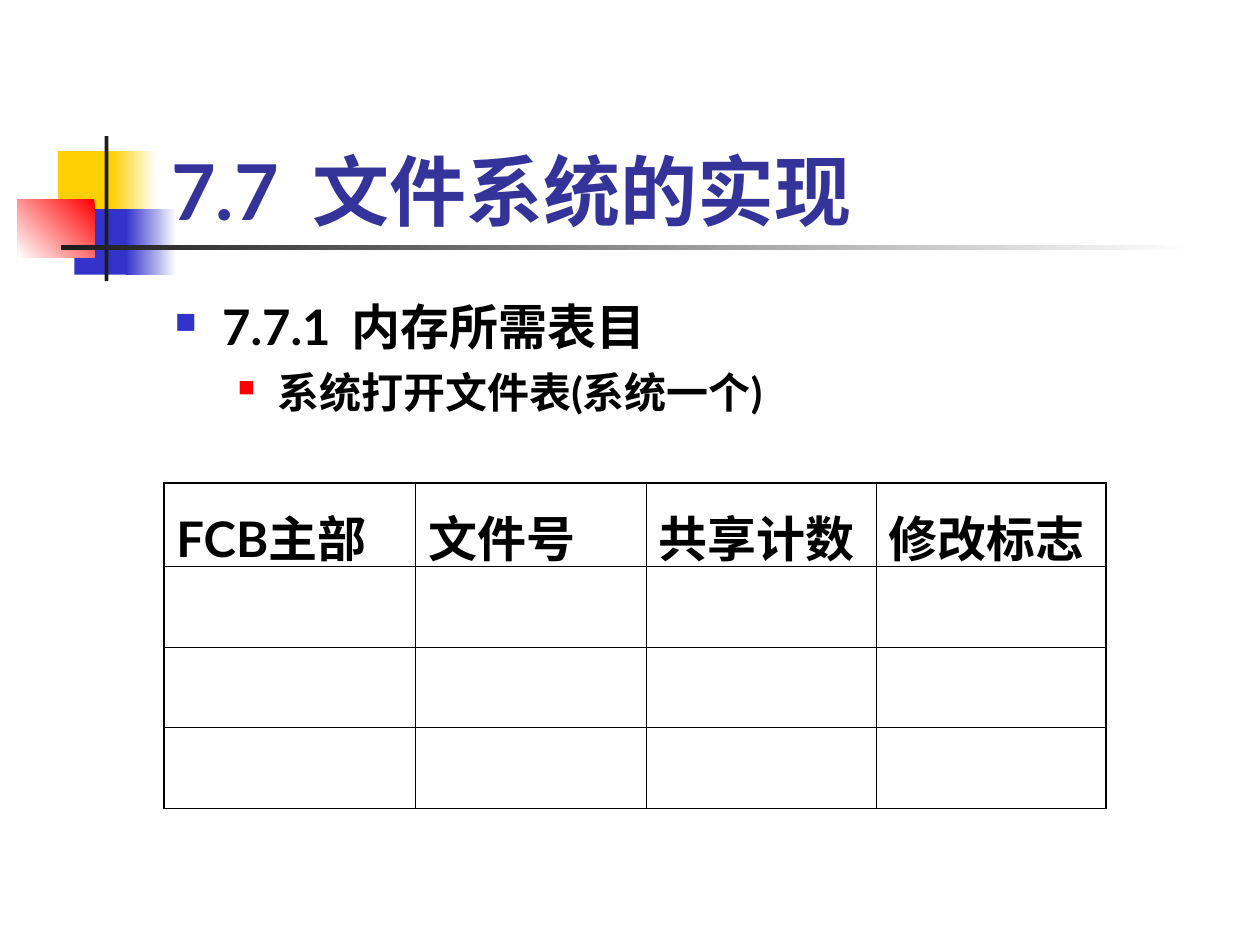
"""Build the slide on the tables a file system keeps in memory."""
from lxml import etree
from pptx import Presentation
from pptx import util as u
from pptx.dml.color import RGBColor
from pptx.enum import shapes, text
from pptx.oxml import ns

FONT = "Lato"
WHITE = RGBColor(0xFF, 0xFF, 0xFF)
BLACK = RGBColor(0x00, 0x00, 0x00)
YELLOW = RGBColor(0xFF, 0xCF, 0x01)
BLUE = RGBColor(0x33, 0x33, 0xCC)
RED = RGBColor(0xFF, 0x00, 0x00)
CHARCOAL = RGBColor(0x1C, 0x1C, 0x1C)
INDIGO = RGBColor(0x33, 0x33, 0x99)

HEADINGS = ["FCB主部", "文件号", "共享计数", "修改标志"]
COLUMN_WIDTHS = [144, 131.5, 131.5, 131.5]
ROW_HEIGHT = 46.1
ROW_COUNT = 4
THIN, THICK = 0.45, 1.08

DECORATIONS = [
    ((33.1, 86.4, 34.6, 37.4), [YELLOW], 0),
    ((63.4, 86.4, 25.9, 37.4), [WHITE, YELLOW], 180),
    ((42.5, 119.5, 33.1, 37.4), [BLUE], 0),
    ((72, 119.5, 28.8, 37.4), [WHITE, BLUE], 180),
    ((10.1, 113.8, 43.9, 33.1), [RED, WHITE], 225),
    ((59.8, 77.8, 2.2, 82.8), [CHARCOAL], 0),
    ((34.6, 140.2, 648, 2.5), [WHITE, CHARCOAL], 180),
]


def points(values):
    """Turn plain numbers into lengths in points."""
    return [u.Pt(value) for value in values]


def add_block(page, place, colours, angle):
    """Add a borderless rectangle, plain or with a two-colour gradient."""
    block = page.shapes.add_shape(shapes.MSO_SHAPE.RECTANGLE, *points(place))
    block.shadow.inherit = False
    block.line.fill.background()
    if len(colours) == 1:
        block.fill.solid()
        block.fill.fore_color.rgb = colours[0]
        return
    block.fill.gradient()
    block.fill.gradient_angle = angle
    for position, (stop, colour) in enumerate(zip(block.fill.gradient_stops, colours)):
        stop.position = position
        stop.color.rgb = colour


def add_span(para, words, size, colour, spacing=0):
    """Add one bold run, with optional letter spacing in points."""
    span = para.add_run()
    span.text = words
    span.font.name = FONT
    span.font.size = u.Pt(size)
    span.font.bold = True
    span.font.color.rgb = colour
    if spacing:
        span.font._element.set("spc", str(round(spacing * 100)))


def add_numbered(para, number, words, size, colour):
    """Add a section number, a widened space and the section name."""
    add_span(para, number, size, colour)
    add_span(para, " ", size, colour, size * 0.19)
    add_span(para, words, size, colour)


def add_bullet(para, colour, percent, left, hanging):
    """Give a paragraph a square bullet and a hanging indent."""
    properties = para._p.get_or_add_pPr()
    properties.set("marL", str(u.Pt(left)))
    properties.set("indent", str(-u.Pt(hanging)))
    tint = etree.SubElement(properties, ns.qn("a:buClr"))
    etree.SubElement(tint, ns.qn("a:srgbClr"), val=str(colour))
    etree.SubElement(properties, ns.qn("a:buSzPct"), val=str(percent * 1000))
    etree.SubElement(properties, ns.qn("a:buChar"), char="■")


def add_title(page):
    """Place and fill the title, in front of the decorations."""
    title = page.shapes.title
    title.left, title.top, title.width, title.height = points((90.7, 48.2, 613.4, 90))
    title.text_frame.vertical_anchor = text.MSO_ANCHOR.BOTTOM
    para = title.text_frame.paragraphs[0]
    para.alignment = text.PP_ALIGN.LEFT
    add_numbered(para, "7.7", "文件系统的实现", 44, INDIGO)
    page.shapes._spTree.append(title._element)


def add_outline(page):
    """Add the bulleted section heading and its sub-item."""
    box = page.shapes.add_textbox(*points((92.9, 159.1, 442.8, 88.6)))
    frame = box.text_frame
    frame.word_wrap = True
    frame.margin_top = u.Pt(10.6)
    heading = frame.paragraphs[0]
    add_bullet(heading, BLUE, 60, 27, 27)
    add_numbered(heading, "7.7.1", "内存所需表目", 28, BLACK)
    item = frame.add_paragraph()
    item.level = 1
    item.space_before = u.Pt(6)
    add_bullet(item, RED, 55, 58.5, 22.5)
    add_span(item, "系统打开文件表(系统一个)", 24, BLACK)


def add_borders(cell, widths):
    """Draw the left, right, top and bottom borders of a cell."""
    properties = cell._tc.get_or_add_tcPr()
    for side, width in zip("LRTB", widths):
        line = etree.SubElement(properties, ns.qn(f"a:ln{side}"), w=str(u.Pt(width)))
        fill = etree.SubElement(line, ns.qn("a:solidFill"))
        etree.SubElement(fill, ns.qn("a:srgbClr"), val=str(BLACK))


def add_file_table(page):
    """Add the open-file table with a heavier outer frame."""
    last_row, last_column = ROW_COUNT - 1, len(HEADINGS) - 1
    place = points((93.6, 275.8, sum(COLUMN_WIDTHS), ROW_HEIGHT * ROW_COUNT))
    table = page.shapes.add_table(ROW_COUNT, len(HEADINGS), *place).table
    table.first_row = table.horz_banding = False
    for column, width in zip(table.columns, COLUMN_WIDTHS):
        column.width = u.Pt(width)
    for r in range(ROW_COUNT):
        for c in range(len(HEADINGS)):
            cell = table.cell(r, c)
            outer = (c == 0, c == last_column, r == 0, r == last_row)
            add_borders(cell, [THICK if edge else THIN for edge in outer])
            cell.fill.background()
    for cell, heading in zip(table.rows[0].cells, HEADINGS):
        cell.margin_top = u.Pt(10.6)
        add_span(cell.text_frame.paragraphs[0], heading, 28, BLACK)


def main():
    """Build and save the deck."""
    deck = Presentation()
    deck.slide_width, deck.slide_height = points((720, 540))
    page = deck.slides.add_slide(deck.slide_layouts[5])
    for place, colours, angle in DECORATIONS:
        add_block(page, place, colours, angle)
    add_title(page)
    add_outline(page)
    add_file_table(page)
    deck.save("out.pptx")


if __name__ == "__main__":
    main()
